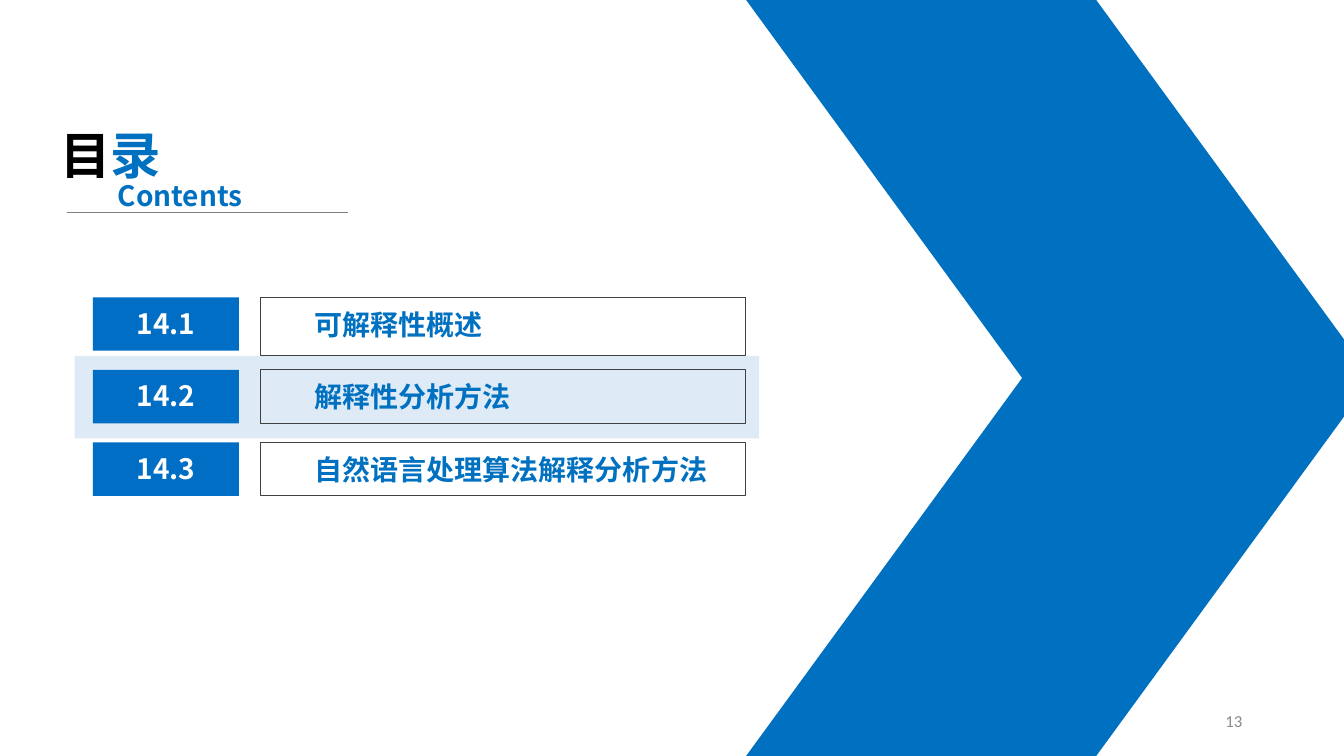
from lxml.etree import SubElement
from pptx import Presentation
from pptx.dml.color import RGBColor
from pptx.enum.shapes import MSO_CONNECTOR, MSO_SHAPE
from pptx.enum.text import MSO_ANCHOR, PP_ALIGN
from pptx.oxml.ns import qn
from pptx.util import Inches, Pt

COLORS = {
    "blue": "0070C0",
    "label": "006EC5",
    "highlight": "DEEBF7",
    "border": "404040",
    "rule": "7F7F7F",
    "number": "898989",
    "black": "000000",
    "white": "FFFFFF",
}


class ContentsSlide:
    font = "Noto Sans CJK SC"

    def __init__(self, slide):
        self.slide = slide

    def color(self, name):
        return RGBColor.from_string(COLORS[name])

    def block(self, kind, box, fill=None, border=None):
        shape = self.slide.shapes.add_shape(kind, *map(Inches, box))
        shape.shadow.inherit = False
        if fill:
            shape.fill.solid()
            shape.fill.fore_color.rgb = self.color(fill)
        else:
            shape.fill.background()
        if border:
            shape.line.color.rgb = self.color(border)
            shape.line.width = Pt(0.75)
        else:
            shape.line.fill.background()
        return shape

    def chevron_arm(self, top, flipped):
        arm = self.block(MSO_SHAPE.PARALLELOGRAM, (7.4, top, 6.21, 3.75), "blue")
        arm.adjustments[0] = 0.73
        if flipped:
            arm.element.spPr.find(qn("a:xfrm")).set("flipV", "1")

    def add_runs(self, frame, runs, size, align, anchor, font, bold):
        frame.word_wrap = True
        frame.vertical_anchor = anchor
        paragraph = frame.paragraphs[0]
        paragraph.alignment = align
        for words, color in runs:
            run = paragraph.add_run()
            run.text = words
            run.font.size = Pt(size)
            run.font.bold = bold
            run.font.color.rgb = self.color(color)
            run.font.name = font
            SubElement(run.font._element, qn("a:ea")).set("typeface", font)

    def text(self, box, words, color, size=20, align=PP_ALIGN.LEFT,
             anchor=MSO_ANCHOR.TOP, font=font, bold=True):
        label = self.slide.shapes.add_textbox(*map(Inches, box))
        self.add_runs(label.text_frame, [(words, color)], size, align, anchor, font, bold)

    def title(self, box, runs):
        heading = self.slide.shapes.title
        heading.left, heading.top, heading.width, heading.height = map(Inches, box)
        self.add_runs(heading.text_frame, runs, 36, PP_ALIGN.LEFT, MSO_ANCHOR.TOP,
                      self.font, True)

    def rule(self, left, right, top):
        line = self.slide.shapes.add_connector(
            MSO_CONNECTOR.STRAIGHT, Inches(left), Inches(top), Inches(right), Inches(top))
        line.line.color.rgb = self.color("rule")
        line.line.width = Pt(0.5)
        SubElement(line.element.spPr, qn("a:effectLst"))

    def section(self, top, number, topic, height):
        self.block(MSO_SHAPE.RECTANGLE, (2.58, top, 4.81, height), border="border")
        self.text((3.02, top + 0.05, 4.31, 0.44), topic, "blue")
        self.block(MSO_SHAPE.RECTANGLE, (0.92, top, 1.45, 0.53), "label")
        self.text((1.12, top + 0.04, 1.05, 0.44), number, "white", align=PP_ALIGN.CENTER)


def main():
    deck = Presentation()
    deck.slide_width, deck.slide_height = Inches(13.33), Inches(7.5)
    contents = ContentsSlide(deck.slides.add_slide(deck.slide_layouts[5]))

    contents.block(MSO_SHAPE.RECTANGLE, (0.74, 3.53, 6.79, 0.82), "highlight")
    contents.chevron_arm(3.75, False)
    contents.chevron_arm(0, True)

    sections = [
        ("14.1", "可解释性概述", 0.58),
        ("14.2", "解释性分析方法", 0.53),
        ("14.3", "自然语言处理算法解释分析方法", 0.53),
    ]
    for row, (number, topic, height) in enumerate(sections):
        contents.section(2.95 + 0.72 * row, number, topic, height)

    contents.title((0.5, 1.18, 1.57, 0.71), [("目", "black"), ("录", "blue")])
    contents.rule(0.66, 3.45, 2.11)
    contents.text((1.07, 1.72, 1.57, 0.44), "Contents", "blue")
    contents.text((9.42, 6.95, 3, 0.4), "13", "number", 12, PP_ALIGN.RIGHT,
                  MSO_ANCHOR.MIDDLE, "Calibri", False)

    deck.save("out.pptx")


if __name__ == "__main__":
    main()
